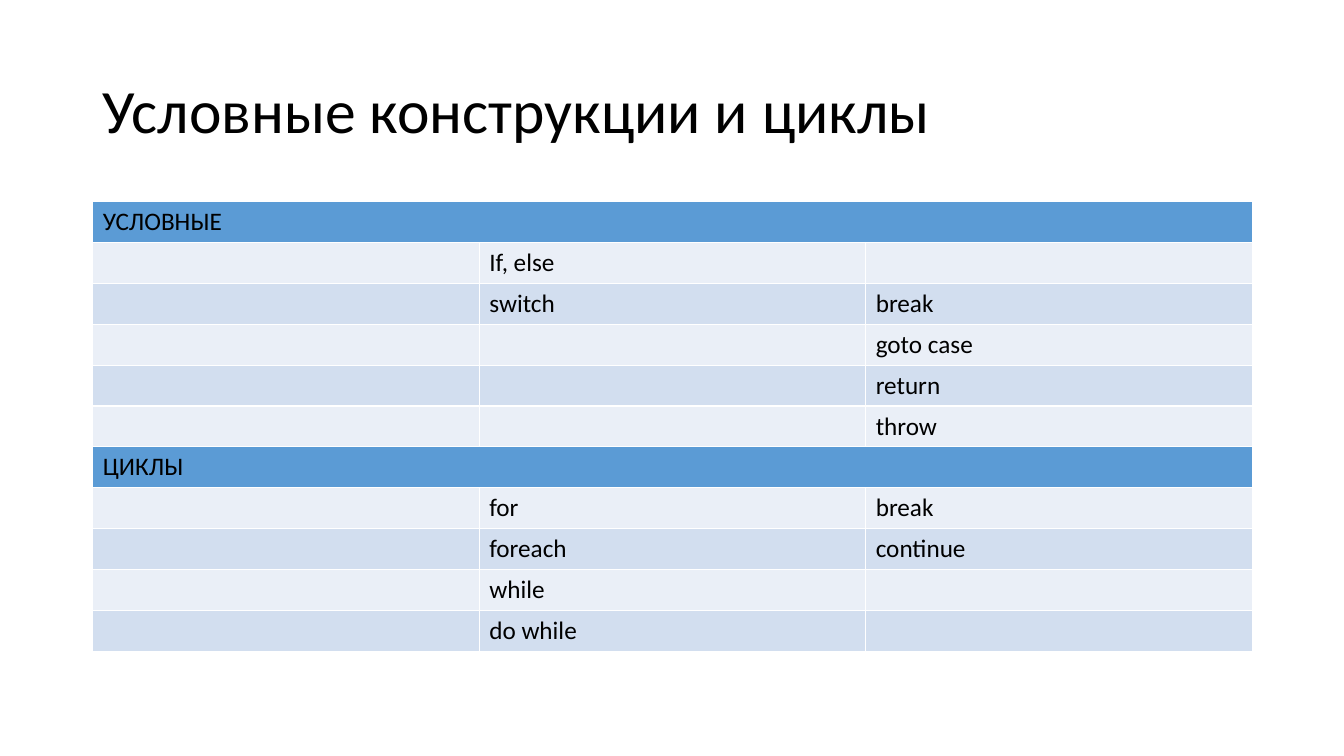
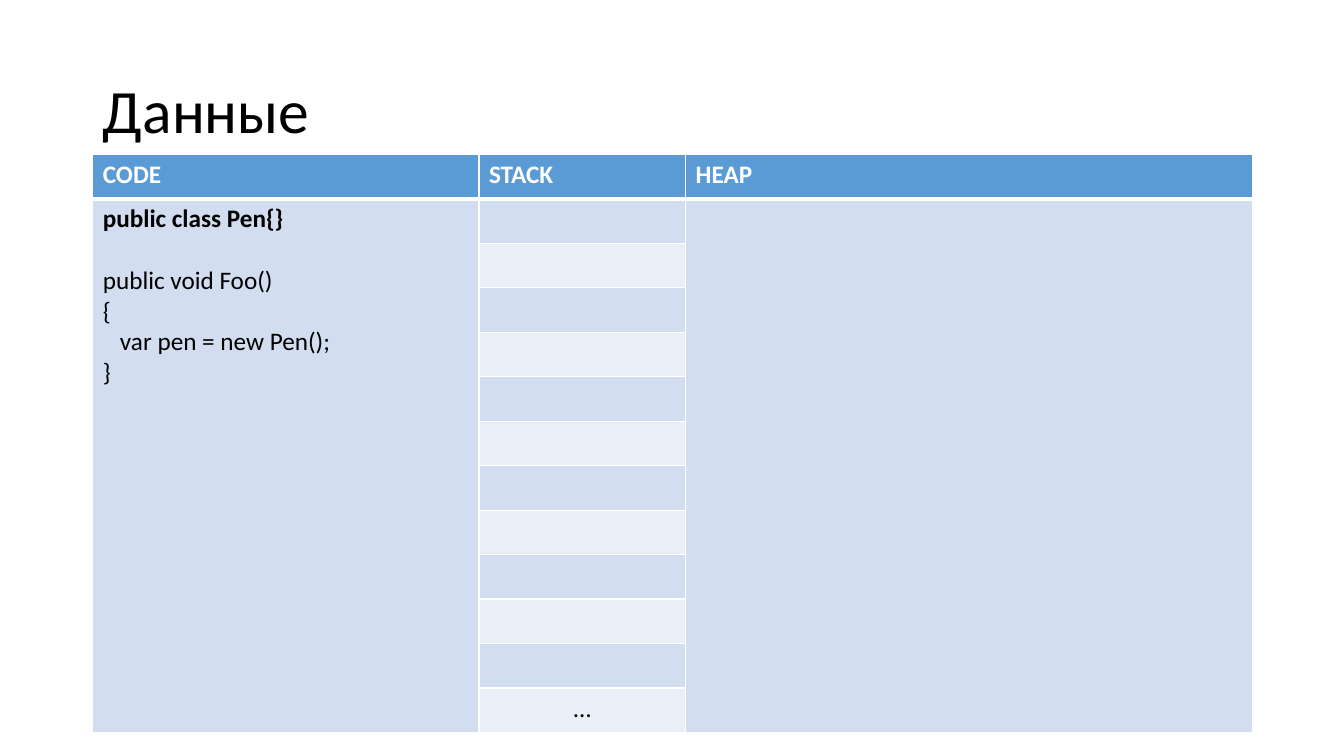
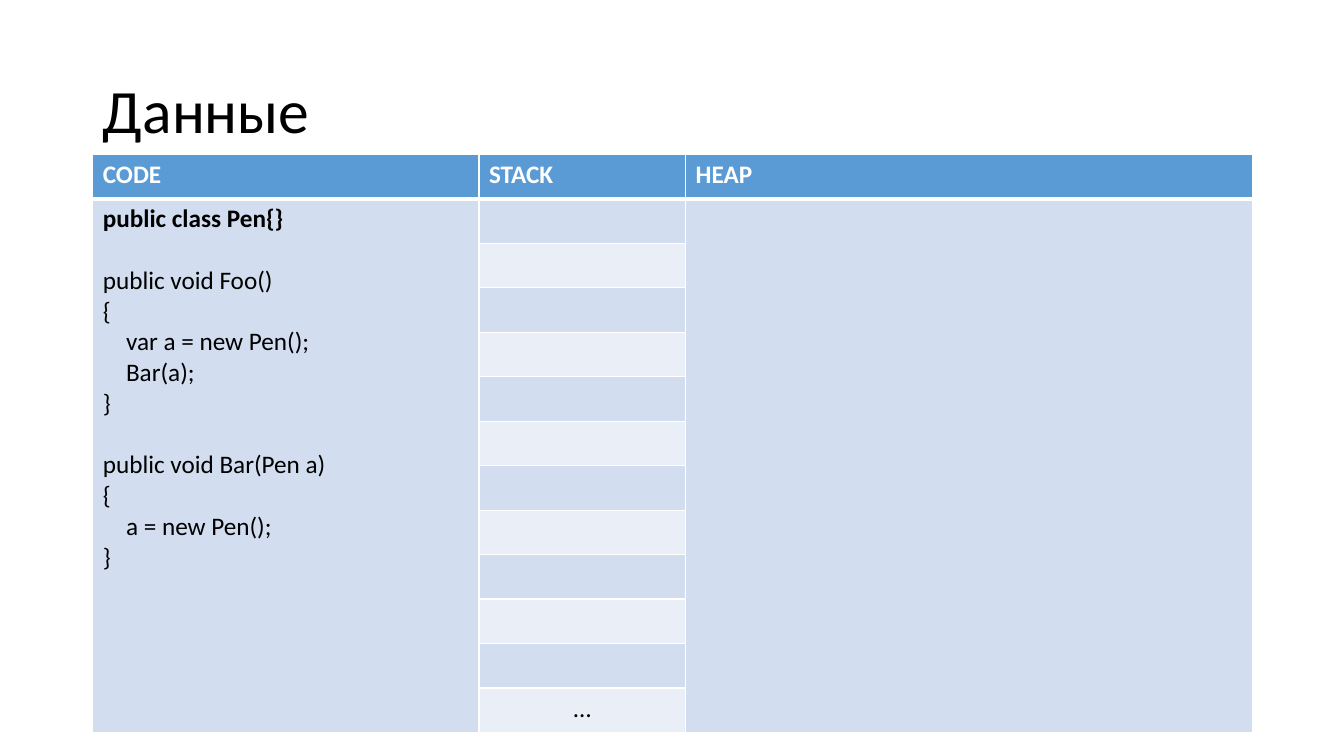
from lxml import etree
from pptx import Presentation
from pptx.dml.color import RGBColor
from pptx.enum.text import MSO_ANCHOR, PP_ALIGN
from pptx.oxml.ns import qn
from pptx.util import Inches, Pt

LEFT, CENTER = PP_ALIGN.LEFT, PP_ALIGN.CENTER
MIDDLE = MSO_ANCHOR.MIDDLE

FONT = "Calibri"
BLACK, WHITE = "000000", "FFFFFF"
BLUE, DARK, LIGHT = "5B9BD5", "D2DEEF", "EAEFF7"
X, WIDTH = 0.92, 11.5
LINE_GAP = Pt(22)

CHOICES = [
    ("УСЛОВНЫЕ", [("If, else", ""), ("switch", "break"), ("", "goto case"),
                  ("", "return"), ("", "throw")]),
    ("ЦИКЛЫ", [("for", "break"), ("foreach", "continue"),
               ("while", ""), ("do while", "")]),
]
STACK_ROWS = 12


def color(text):
    return RGBColor.from_string(text)


def add_run(para, text, size=18, ink=BLACK, bold=False):
    run = para.add_run()
    run.text = text
    font = run.font
    font.name, font.size, font.bold = FONT, Pt(size), bold
    font.color.rgb = color(ink)


def add_slide(prs, title):
    slide = prs.slides.add_slide(prs.slide_layouts[5])
    box = slide.shapes.title
    box.left, box.top = Inches(X), Inches(0.4)
    box.width, box.height = Inches(WIDTH), Inches(1.45)
    frame = box.text_frame
    frame.vertical_anchor = MIDDLE
    para = frame.paragraphs[0]
    para.alignment, para.line_spacing = LEFT, 0.9
    add_run(para, title, 44)
    return slide


def add_grid(slide, top, height, rows, widths):
    frame = slide.shapes.add_table(rows, len(widths), Inches(X), Inches(top),
                                   Inches(WIDTH), Inches(height))
    table = frame.table
    table.first_row = table.horz_banding = False
    for col, width in zip(table.columns, widths):
        col.width = Inches(width)
    for row in table.rows:
        row.height = Inches(height / rows)
    return table


def style_cell(cell, fill, top=1, bottom=1):
    """Fill a cell and give it white borders, with widths in points."""
    cell.fill.solid()
    cell.fill.fore_color.rgb = color(fill)
    props = cell._tc.get_or_add_tcPr()
    sides = {"L": 1, "R": 1, "T": top, "B": bottom}
    for i, (side, width) in enumerate(sides.items()):
        line = etree.Element(qn("a:ln" + side), w=str(Pt(width)))
        solid = etree.SubElement(line, qn("a:solidFill"))
        etree.SubElement(solid, qn("a:srgbClr"), val=WHITE)
        props.insert(i, line)


def fill_row(table, row, texts, fill, ink=BLACK, bold=False, **edges):
    for col, text in enumerate(texts):
        cell = table.cell(row, col)
        style_cell(cell, fill, **edges)
        para = cell.text_frame.paragraphs[0]
        if text:
            add_run(para, text, ink=ink, bold=bold)
        else:
            para.font.size = Pt(18)


def add_code(cell, methods, indent):
    """Write the class line, then each method with its body indented."""
    frame = cell.text_frame
    add_run(frame.paragraphs[0], "public class Pen{}", bold=True)
    for head, body in methods:
        for i, text in enumerate([head, "{", *body, "}"]):
            para = frame.add_paragraph()
            if i == 0:
                para.space_before = LINE_GAP
            if text in body:
                para._p.get_or_add_pPr().set("marL", str(Inches(indent)))
            add_run(para, text)


def add_choices(prs):
    slide = add_slide(prs, "Условные конструкции и циклы")
    count = sum(1 + len(lines) for _, lines in CHOICES)
    table = add_grid(slide, 2, 4.46, count, [WIDTH / 3] * 3)
    row = 0
    for head, lines in CHOICES:
        fill_row(table, row, [head, "", ""], BLUE)
        table.cell(row, 0).merge(table.cell(row, 2))
        for i, texts in enumerate(lines):
            fill_row(table, row + 1 + i, ["", *texts], (LIGHT, DARK)[i % 2])
        row += 1 + len(lines)


def add_memory(prs, methods, indent):
    slide = add_slide(prs, "Данные")
    table = add_grid(slide, 1.53, 5.74, STACK_ROWS + 1, [3.83, 2.05, 5.62])
    fill_row(table, 0, ["CODE", "STACK", "HEAP"], BLUE, WHITE, True, bottom=3)
    for row in range(1, STACK_ROWS + 1):
        text = "…" if row == STACK_ROWS else ""
        fill_row(table, row, ["", text, ""], (LIGHT, DARK)[row % 2],
                 top=3 if row == 1 else 1)
    table.cell(STACK_ROWS, 1).text_frame.paragraphs[0].alignment = CENTER
    for col in (0, 2):
        table.cell(1, col).merge(table.cell(STACK_ROWS, col))
    add_code(table.cell(1, 0), methods, indent)


def main():
    prs = Presentation()
    prs.slide_width, prs.slide_height = Inches(13.33), Inches(7.5)
    add_choices(prs)
    add_memory(prs, [("public void Foo()", ["var pen = new Pen();"])], 0.17)
    add_memory(prs, [
        ("public void Foo()", ["var a = new Pen();", "Bar(a);"]),
        ("public void Bar(Pen a)", ["a = new Pen();"]),
    ], 0.23)
    prs.save("out.pptx")


if __name__ == "__main__":
    main()
